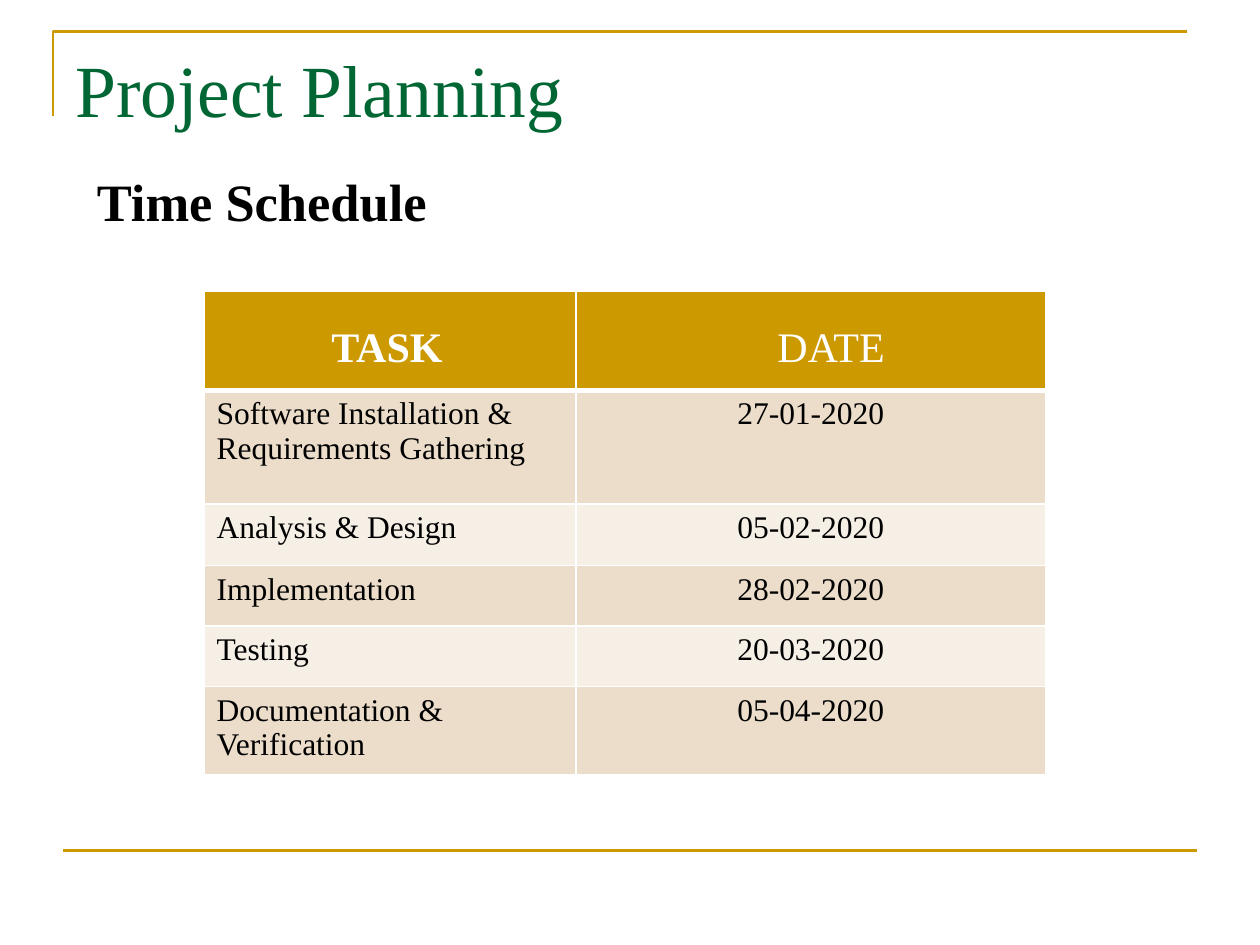
"""Build the Project Planning slide with its time schedule table."""
import pptx
import pptx.util
import pptx.dml.color
import pptx.enum.shapes
import pptx.enum.text
import pptx.oxml.ns
import lxml.etree

Inches, Pt = pptx.util.Inches, pptx.util.Pt
RGBColor = pptx.dml.color.RGBColor
ALIGN = pptx.enum.text.PP_ALIGN

GOLD = RGBColor(0xCC, 0x99, 0x00)
GREEN = RGBColor(0x00, 0x66, 0x33)
BLACK = RGBColor(0x00, 0x00, 0x00)
WHITE = RGBColor(0xFF, 0xFF, 0xFF)
BANDS = RGBColor(0xEC, 0xDD, 0xCA), RGBColor(0xF6, 0xEF, 0xE6)
FONT = "Times New Roman"

TITLE = "Project Planning"
SUBTITLE = "Time Schedule"
HEADERS = [("TASK", True, 1.01), ("DATE", False, 1.6)]
SCHEDULE = [
    ("Software Installation & Requirements Gathering", "27-01-2020"),
    ("Analysis & Design", "05-02-2020"),
    ("Implementation", "28-02-2020"),
    ("Testing", "20-03-2020"),
    ("Documentation & Verification", "05-04-2020"),
]
COLUMN_WIDTHS = [2.95, 3.73]
ROW_HEIGHTS = [0.79, 0.9, 0.49, 0.48, 0.48, 0.61]
TABLE_LEFT, TABLE_TOP = 1.62, 2.31
MARGIN, CONTENT_WIDTH = 0.5, 9


def write(frame, text, size, color, bold=False, align=ALIGN.LEFT, before=0):
    frame.word_wrap = True
    paragraph = frame.paragraphs[0]
    paragraph.alignment = align
    paragraph.space_before = Pt(before)
    run = paragraph.add_run()
    run.text = text
    run.font.name, run.font.size, run.font.bold = FONT, Pt(size), bold
    run.font.color.rgb = color


def add_text(slide, top, height, text, indent=0, **style):
    box = slide.shapes.add_textbox(
        Inches(MARGIN), Inches(top), Inches(CONTENT_WIDTH), Inches(height))
    box.text_frame.margin_left = Inches(0.1 + indent)
    write(box.text_frame, text, **style)


def add_frame(slide):
    left, top, right, bottom = 0.42, 0.25, 9.42, 0.92
    builder = slide.shapes.build_freeform(Inches(left), Inches(bottom))
    builder.add_line_segments(
        [(Inches(left), Inches(top)), (Inches(right), Inches(top))], close=False)
    corner = builder.convert_to_shape()
    corner.fill.background()
    corner.shadow.inherit = False
    footer = slide.shapes.add_connector(
        pptx.enum.shapes.MSO_CONNECTOR.STRAIGHT, Inches(MARGIN), Inches(6.75),
        Inches(MARGIN + CONTENT_WIDTH), Inches(6.75))
    lxml.etree.SubElement(footer._element.spPr, pptx.oxml.ns.qn("a:effectLst"))
    for rule in (corner, footer):
        rule.line.color.rgb = GOLD
        rule.line.width = Pt(1.5)


def add_borders(cell, top, bottom):
    properties = cell._tc.get_or_add_tcPr()
    for side, width in (("L", 1), ("R", 1), ("T", top), ("B", bottom)):
        border = lxml.etree.SubElement(
            properties, pptx.oxml.ns.qn(f"a:ln{side}"), w=str(Pt(width)))
        fill = lxml.etree.SubElement(border, pptx.oxml.ns.qn("a:solidFill"))
        lxml.etree.SubElement(fill, pptx.oxml.ns.qn("a:srgbClr"), val=str(WHITE))


def paint(cell, color, top=1, bottom=1):
    add_borders(cell, top, bottom)
    cell.fill.solid()
    cell.fill.fore_color.rgb = color


def add_schedule(slide):
    table = slide.shapes.add_table(
        len(ROW_HEIGHTS), len(COLUMN_WIDTHS), Inches(TABLE_LEFT), Inches(TABLE_TOP),
        Inches(sum(COLUMN_WIDTHS)), Inches(sum(ROW_HEIGHTS))).table
    for column, width in zip(table.columns, COLUMN_WIDTHS):
        column.width = Inches(width)
    for row, height in zip(table.rows, ROW_HEIGHTS):
        row.height = Inches(height)
    for column, (label, bold, indent) in enumerate(HEADERS):
        cell = table.cell(0, column)
        paint(cell, GOLD, bottom=3)
        cell.margin_left, cell.margin_top = Inches(indent), Inches(0.27)
        write(cell.text_frame, label, size=24, color=WHITE, bold=bold)
    for row, entry in enumerate(SCHEDULE, start=1):
        for column, (text, align) in enumerate(zip(entry, (ALIGN.LEFT, ALIGN.CENTER))):
            cell = table.cell(row, column)
            paint(cell, BANDS[(row - 1) % 2], top=3 if row == 1 else 1)
            write(cell.text_frame, text, size=18, color=BLACK, align=align)


def main():
    deck = pptx.Presentation()
    deck.slide_width, deck.slide_height = Inches(10), Inches(7.5)
    slide = deck.slides.add_slide(deck.slide_layouts[6])
    add_frame(slide)
    add_text(slide, 0.3, 0.77, TITLE, size=42, color=GREEN, before=5)
    add_text(slide, 1.29, 5.41, SUBTITLE, indent=0.17, size=30, color=BLACK,
             bold=True, align=ALIGN.JUSTIFY, before=3.6)
    add_schedule(slide)
    deck.save("out.pptx")


if __name__ == "__main__":
    main()
